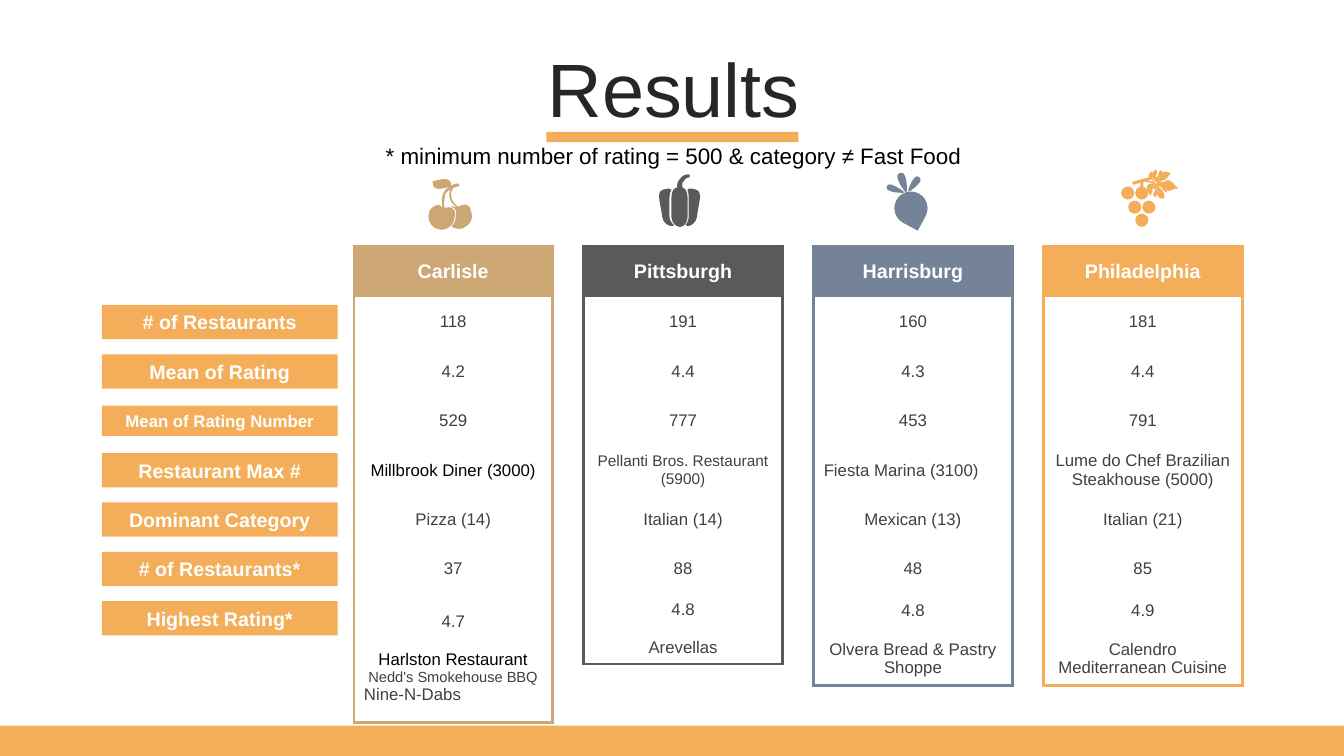
from dataclasses import dataclass

from lxml import etree
from pptx import Presentation
from pptx.dml.color import RGBColor
from pptx.enum import shapes as sh, text as tx
from pptx.oxml.ns import qn
from pptx.util import Inches, Pt


@dataclass(frozen=True)
class Theme:
    font: str = "Arial"
    tan: str = "CDA874"
    coal: str = "5A5A5A"
    slate: str = "748398"
    gold: str = "F4AE59"
    title: str = "262626"
    body: str = "404040"
    black: str = "000000"
    white: str = "FFFFFF"
    huge: float = 54
    note: float = 16
    head: float = 14
    text: float = 12
    small: float = 11
    tiny: float = 10.5
    edge: float = 2.25


T = Theme()
MID, LEFT = tx.PP_ALIGN.CENTER, tx.PP_ALIGN.LEFT

TITLE = "Results"
NOTE = "* minimum number of rating = 500 & category ≠ Fast Food"

# label, type size, height
LABELS = [
    ("# of Restaurants", T.head, 0.34),
    ("Mean of Rating", T.head, 0.34),
    ("Mean of Rating Number", T.text, 0.3),
    ("Restaurant Max #", T.head, 0.34),
    ("Dominant Category", T.head, 0.34),
    ("# of Restaurants*", T.head, 0.34),
    ("Highest Rating*", T.head, 0.34),
]

# city, colour, table height, rows; a row lists its lines,
# and a line is its text or (text, style)
CITIES = [
    ("Carlisle", T.tan, 4.73, [
        ["118"], ["4.2"], ["529"],
        [("Millbrook Diner (3000)", {"color": T.black})],
        ["Pizza (14)"], ["37"],
        ["4.7", ("Harlston Restaurant", {"color": T.black}),
         ("Nedd's Smokehouse BBQ", {"size": T.tiny}),
         ("Nine-N-Dabs", {"align": LEFT})]]),
    ("Pittsburgh", T.coal, 4.15, [
        ["191"], ["4.4"], ["777"],
        [("Pellanti Bros. Restaurant (5900)", {"size": T.small})],
        ["Italian (14)"], ["88"], ["4.8", "Arevellas"]]),
    ("Harrisburg", T.slate, 4.36, [
        ["160"], ["4.3"], ["453"],
        [("Fiesta Marina (3100)", {"align": LEFT})],
        ["Mexican (13)"], ["48"],
        ["4.8", "Olvera Bread & Pastry Shoppe"]]),
    ("Philadelphia", T.gold, 4.36, [
        ["181"], ["4.4"], ["791"],
        ["Lume do Chef Brazilian Steakhouse (5000)"],
        ["Italian (21)"], ["85"],
        ["4.9", "Calendro Mediterranean Cuisine"]]),
]

# outlines in inches: M move, L line, C curve, Z close
CHERRY = [
    "M 4.32,2.04 C 4.37,2.02 4.36,2.05 4.4,2.06 4.44,2.07 4.44,2.04 4.49,2.07 4.51,2.09 4.52,2.1 4.51,2.15 "
    "4.51,2.22 4.45,2.28 4.38,2.28 4.31,2.28 4.25,2.22 4.25,2.15 4.25,2.1 4.27,2.06 4.32,2.04 Z",
    "M 4.53,1.82 C 4.57,1.82 4.56,1.85 4.54,1.85 4.49,1.86 4.44,1.89 4.42,1.92 4.41,1.95 4.4,2.02 4.41,2.06 "
    "L 4.41,2.07 4.39,2.07 4.39,2.06 C 4.38,2.01 4.38,1.95 4.4,1.91 4.42,1.87 4.48,1.83 4.53,1.82 Z",
    "M 4.61,2.03 C 4.61,2.03 4.62,2.03 4.62,2.03 4.65,2.04 4.66,2.05 4.67,2.09 4.7,2.16 4.67,2.23 4.6,2.26 "
    "4.56,2.28 4.52,2.27 4.48,2.25 L 4.48,2.24 C 4.51,2.22 4.52,2.18 4.52,2.14 4.53,2.1 4.52,2.08 4.5,2.06 "
    "4.49,2.06 4.48,2.06 4.48,2.05 L 4.47,2.05 C 4.5,2.04 4.51,2.06 4.54,2.05 4.57,2.05 4.57,2.03 4.61,2.03 Z",
    "M 4.48,1.85 C 4.5,1.83 4.51,1.85 4.5,1.86 4.47,1.9 4.47,1.94 4.48,1.97 4.48,1.99 4.52,2.03 4.54,2.05 "
    "L 4.55,2.05 4.54,2.06 4.53,2.06 C 4.5,2.03 4.47,2 4.46,1.97 4.45,1.93 4.46,1.88 4.48,1.85 Z",
    "M 4.37,1.78 L 4.29,1.8 4.3,1.85 C 4.31,1.87 4.35,1.88 4.39,1.87 L 4.48,1.85 4.47,1.81 "
    "C 4.46,1.78 4.42,1.77 4.37,1.78 Z",
]
PEPPER = [
    "M 6.66,1.96 C 6.66,1.91 6.68,1.86 6.72,1.86 L 6.76,1.86 C 6.8,1.86 6.82,1.91 6.82,1.96 L 6.82,2.15 "
    "C 6.82,2.2 6.79,2.25 6.75,2.25 L 6.74,2.25 C 6.7,2.25 6.66,2.2 6.66,2.15 Z",
    "M 6.72,1.87 C 6.71,1.83 6.72,1.8 6.75,1.77 6.77,1.74 6.8,1.73 6.84,1.73 L 6.84,1.76 "
    "C 6.81,1.76 6.79,1.78 6.78,1.8 6.76,1.81 6.77,1.84 6.77,1.87 Z",
    "M 6.64,1.87 L 6.65,1.88 6.66,1.88 C 6.65,1.9 6.64,1.93 6.64,1.96 L 6.64,2.15 "
    "C 6.64,2.18 6.66,2.21 6.68,2.23 L 6.68,2.24 6.67,2.24 C 6.63,2.25 6.58,2.21 6.57,2.16 "
    "L 6.54,1.98 C 6.53,1.93 6.54,1.89 6.58,1.88 L 6.63,1.87 Z",
    "M 6.84,1.87 L 6.86,1.87 6.9,1.88 C 6.94,1.89 6.95,1.94 6.94,1.98 L 6.91,2.16 "
    "C 6.9,2.21 6.85,2.25 6.81,2.24 L 6.8,2.23 C 6.82,2.21 6.83,2.18 6.83,2.15 "
    "L 6.83,1.96 C 6.83,1.94 6.83,1.91 6.82,1.89 L 6.82,1.88 Z",
]
BEET = [
    "M 8.9,1.74 C 8.92,1.71 8.94,1.71 8.96,1.72 9,1.75 9,1.91 8.99,1.91 8.97,1.91 8.89,1.78 8.9,1.74 Z",
    "M 9.09,1.75 C 9.11,1.75 9.13,1.76 9.13,1.79 9.13,1.82 9.02,1.91 9.01,1.9 9,1.89 9.05,1.76 9.09,1.75 Z",
    "M 8.82,1.83 C 8.79,1.84 8.79,1.86 8.8,1.88 8.82,1.91 8.96,1.92 8.97,1.91 8.97,1.9 8.85,1.82 8.82,1.83 Z",
]
LEAF = [  # veins, lower edge, upper edge
    "M 11.55,1.73 C 11.5,1.74 11.48,1.79 11.47,1.81 11.45,1.79 11.43,1.77 11.43,1.73 11.42,1.77 11.45,1.8 11.46,1.82 "
    "11.43,1.83 11.42,1.86 11.41,1.89 11.42,1.86 11.44,1.83 11.47,1.82 11.46,1.87 11.48,1.91 11.51,1.94 "
    "11.48,1.9 11.47,1.86 11.47,1.82 L 11.61,1.85 11.47,1.82 C 11.49,1.77 11.52,1.74 11.55,1.73 Z",
    "M 11.61,1.72 C 11.54,1.82 11.55,1.77 11.51,1.8 11.53,1.83 11.57,1.77 11.61,1.79 11.6,1.79 11.59,1.8 11.59,1.8 "
    "11.63,1.79 11.63,1.82 11.69,1.87 11.63,1.86 11.61,1.92 11.56,1.88 11.57,1.89 11.57,1.9 11.58,1.91 "
    "11.56,1.91 11.54,1.89 11.52,1.86 11.51,1.85 11.51,1.85 11.49,1.85 11.49,1.87 11.56,1.88 11.55,1.97 "
    "11.53,1.96 11.5,1.99 11.48,1.93 11.46,1.94 11.47,1.95 11.47,1.96 11.46,1.95 11.43,1.95 11.44,1.92 "
    "11.44,1.91 11.47,1.89 11.45,1.87 11.43,1.86 11.43,1.88 11.43,1.9 11.43,1.91 11.42,1.92 11.41,1.94",
    "L 11.39,1.91 C 11.38,1.89 11.36,1.86 11.39,1.83 11.4,1.82 11.42,1.83 11.44,1.82 11.4,1.81 11.38,1.81 11.36,1.8 "
    "L 11.35,1.78 C 11.38,1.79 11.4,1.8 11.44,1.8 11.43,1.78 11.41,1.78 11.4,1.77 11.39,1.76 11.39,1.73 11.42,1.7 "
    "11.42,1.71 11.43,1.71 11.42,1.72 11.44,1.7 11.45,1.69 11.47,1.68 11.49,1.73 11.45,1.75 11.47,1.76 "
    "11.48,1.76 11.49,1.74 11.49,1.73 11.49,1.71 11.5,1.69 11.53,1.69 11.53,1.7 11.52,1.71 11.53,1.71 "
    "11.55,1.71 11.56,1.69 11.61,1.72 Z",
]
KIND = sh.MSO_SHAPE
BERRIES = [(11.12, 1.85), (11.26, 1.85), (11.19, 1.99), (11.33, 1.99), (11.26, 2.12)]
# colour, outlines, preset parts as (kind, box, turn)
ICONS = [
    (T.tan, CHERRY, []),
    (T.coal, PEPPER, []),
    (T.slate, BEET, [(KIND.TEAR, (8.87, 1.9, 0.33, 0.33), 118.2)]),
    (T.gold, [" ".join(LEAF)], [(KIND.OVAL, (x, y, 0.13, 0.13), 0) for x, y in BERRIES] + [
        (KIND.ROUNDED_RECTANGLE, (11.23, 1.78, 0.18, 0.03), 344.7),
        (KIND.ROUNDED_RECTANGLE, (11.31, 1.79, 0.03, 0.07), 0)]),
]

TOP, HEAD, ROW = 2.44, 0.51, 0.49
FIRST, STEP, WIDE = 3.51, 2.28, 1.97


def style(par, size=T.text, color=T.body, align=MID, bold=False):
    par.alignment = align
    for run in par.runs:
        font = run.font
        font.name, font.size, font.bold = T.font, Pt(size), bold
        font.color.rgb = RGBColor.from_string(color)


def paint(shape, color):
    shape.shadow.inherit = False
    shape.fill.solid()
    shape.fill.fore_color.rgb = RGBColor.from_string(color)
    shape.line.fill.background()
    return shape


def block(slide, kind, box, color):
    return paint(slide.shapes.add_shape(kind, *map(Inches, box)), color)


def trace(slide, outline, color):
    """Draw an outline, with each curve cut into short lines."""
    pen, held = None, []
    for word in outline.split():
        if word in "MLCZ":
            mode = word
            if mode == "Z":
                pen.add_line_segments([], close=True)
            continue
        held.append(tuple(Inches(float(n)) for n in word.split(",")))
        if len(held) < (3 if mode == "C" else 1):
            continue
        if mode == "C":
            for t in (0.2, 0.4, 0.6, 0.8, 1):
                s = 1 - t
                spot = [s**3 * p + 3 * s * s * t * q + 3 * s * t * t * r + t**3 * e
                        for p, q, r, e in zip(last, *held)]
                pen.add_line_segments([spot], close=False)
        elif mode == "L":
            pen.add_line_segments(held, close=False)
        elif pen is None:
            pen = slide.shapes.build_freeform(*held[0])
        else:
            pen.move_to(*held[0])
        last, held = held[-1], []
    return paint(pen.convert_to_shape(), color)


def border(cell, sides, color):
    for side in sides:
        line = etree.SubElement(cell._tc.get_or_add_tcPr(), qn("a:ln" + side), w=str(Pt(T.edge)))
        fill = etree.SubElement(line, qn("a:solidFill"))
        etree.SubElement(fill, qn("a:srgbClr"), val=color)


def city(slide, left, name, color, high, rows):
    box = map(Inches, (left, TOP, WIDE, high))
    table = slide.shapes.add_table(len(rows) + 1, 1, *box).table
    table.horz_banding = False
    plain = "{2D5ABB26-0587-4C30-8999-92F81FD0307C}"
    table._tbl.tblPr.find(qn("a:tableStyleId")).text = plain
    sizes = [HEAD] + [ROW] * (len(rows) - 1)
    sizes.append(high - sum(sizes))
    title = (name, {"size": T.head, "color": T.white, "bold": True})
    for i, (lines, size) in enumerate(zip([[title]] + rows, sizes)):
        table.rows[i].height = Inches(size)
        cell = table.cell(i, 0)
        cell.vertical_anchor = tx.MSO_ANCHOR.MIDDLE
        border(cell, "LRT" if i == 0 else "LRB" if i == len(rows) else "LR", color)
        if i == 0:
            cell.fill.solid()
            cell.fill.fore_color.rgb = RGBColor.from_string(color)
        else:
            cell.fill.background()
        for n, line in enumerate(lines):
            words, look = (line, {}) if isinstance(line, str) else line
            par = cell.text_frame.add_paragraph() if n else cell.text_frame.paragraphs[0]
            par.text = words
            style(par, **look)
            if n == 1:
                par.space_before = Pt(14)


def caption(holder, words, box, size, color):
    holder.left, holder.top, holder.width, holder.height = map(Inches, box)
    frame = holder.text_frame
    frame.text = words
    frame.auto_size = tx.MSO_AUTO_SIZE.NONE
    frame.vertical_anchor = tx.MSO_ANCHOR.MIDDLE
    frame.margin_top = frame.margin_bottom = 0
    par = frame.paragraphs[0]
    style(par, size, color)
    par.space_before = Pt(0)
    props = par._p.get_or_add_pPr()
    props.set("marL", "0")
    props.set("indent", "0")
    etree.SubElement(props, qn("a:buNone"))


def main():
    deck = Presentation()
    deck.slide_width, deck.slide_height = Inches(13.33), Inches(7.5)
    slide = deck.slides.add_slide(deck.slide_layouts[1])
    for box in ((5.42, 1.31, 2.5, 0.1), (0, 7.2, 13.33, 0.3)):
        block(slide, KIND.RECTANGLE, box, T.gold)
    caption(slide.shapes.title, TITLE, (0.35, 0.32, 12.66, 1.09), T.huge, T.title)
    caption(slide.placeholders[1], NOTE, (0.35, 1.37, 12.66, 0.34), T.note, T.black)

    for i, (words, size, high) in enumerate(LABELS):
        mid = TOP + HEAD + ROW * (i + 0.5)
        tag = block(slide, KIND.RECTANGLE, (1.01, mid - high / 2, 2.34, high), T.gold)
        tag.text_frame.text = words
        tag.text_frame.vertical_anchor = tx.MSO_ANCHOR.MIDDLE
        style(tag.text_frame.paragraphs[0], size, T.white, bold=True)

    for i, data in enumerate(CITIES):
        city(slide, FIRST + STEP * i, *data)

    for color, outlines, parts in ICONS:
        drawn = [trace(slide, outline, color) for outline in outlines]
        for kind, box, turn in parts:
            part = block(slide, kind, box, color)
            part.rotation = turn
            drawn.append(part)
        slide.shapes.add_group_shape(drawn)
    deck.save("out.pptx")


if __name__ == "__main__":
    main()
